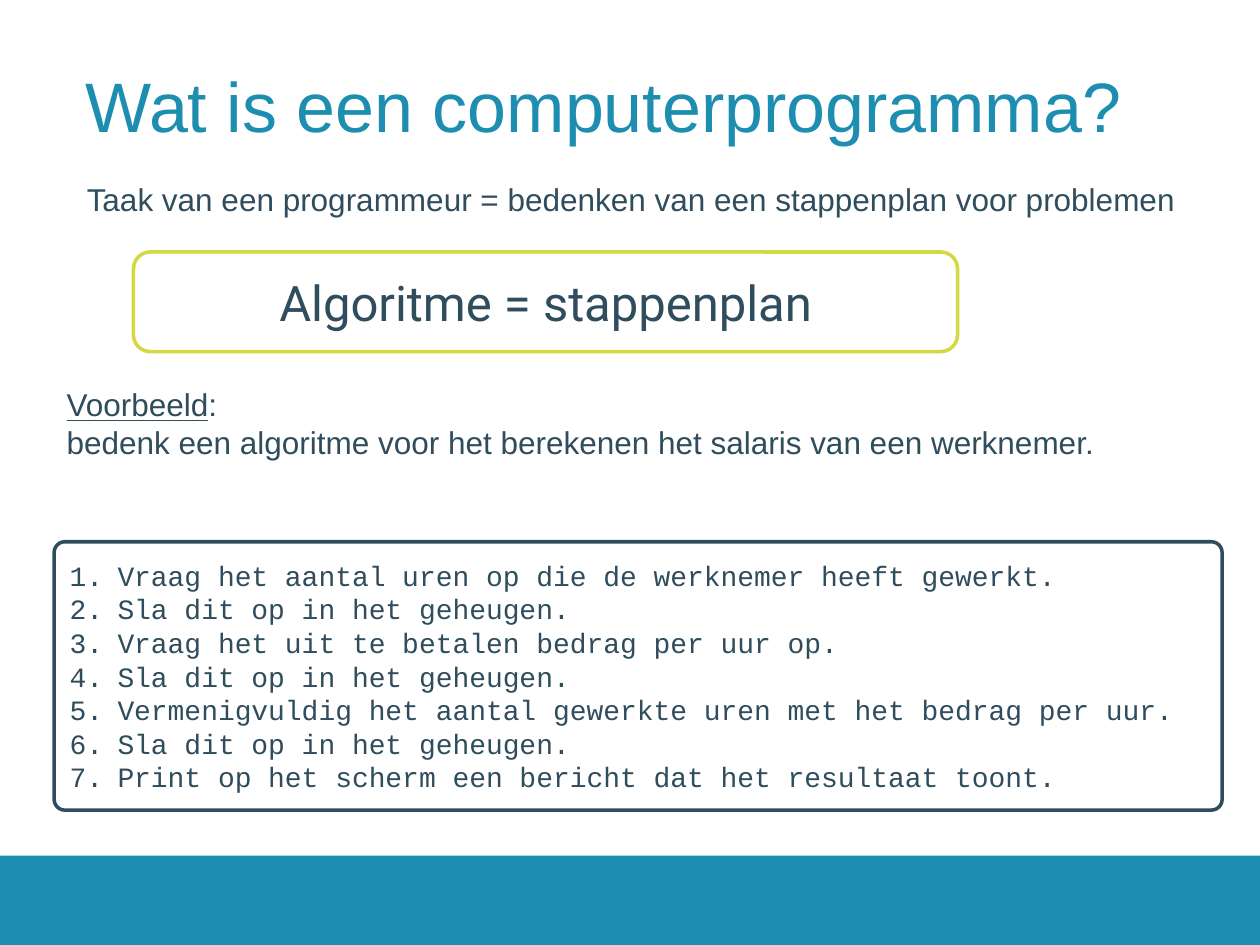
from pptx import Presentation
from pptx.dml.color import RGBColor
from pptx.enum.shapes import MSO_SHAPE
from pptx.enum.text import MSO_ANCHOR, MSO_AUTO_SIZE, PP_ALIGN
from pptx.util import Inches, Pt
from lxml import etree

RECT, ROUND = MSO_SHAPE.RECTANGLE, MSO_SHAPE.ROUNDED_RECTANGLE
MIDDLE = MSO_ANCHOR.MIDDLE
FIT = MSO_AUTO_SIZE.SHAPE_TO_FIT_TEXT
LEFT, CENTER = PP_ALIGN.LEFT, PP_ALIGN.CENTER
NS = "http://schemas.openxmlformats.org/drawingml/2006/main"

COLORS = {"teal": "1D8DB0", "ink": "2F4D5D", "lime": "D4D842", "white": "FFFFFF"}

STEPS = [
    "Vraag het aantal uren op die de werknemer heeft gewerkt.",
    "Sla dit op in het geheugen.",
    "Vraag het uit te betalen bedrag per uur op.",
    "Sla dit op in het geheugen.",
    "Vermenigvuldig het aantal gewerkte uren met het bedrag per uur.",
    "Sla dit op in het geheugen.",
    "Print op het scherm een bericht dat het resultaat toont.",
]


def color(name):
    return RGBColor.from_string(COLORS[name])


def write(frame, lines, size, font="Arial", tint="ink", align=LEFT):
    frame.text = "\n".join(lines)
    for para in frame.paragraphs:
        para.alignment = align
        for run in para.runs:
            run.font.size = Pt(size)
            run.font.name = font
            run.font.color.rgb = color(tint)


def add_text(slide, box, lines, size, tint="ink", wrap=True):
    frame = slide.shapes.add_textbox(*map(Inches, box)).text_frame
    frame.word_wrap = wrap
    write(frame, lines, size, tint=tint)
    return frame


def add_box(slide, kind, box, fill, line=None):
    shape = slide.shapes.add_shape(kind, *map(Inches, box))
    shape.shadow.inherit = False
    shape.fill.solid()
    shape.fill.fore_color.rgb = color(fill)
    if line:
        shape.line.color.rgb = color(line)
        shape.line.width = Pt(2)
    else:
        shape.line.fill.background()
    shape.text_frame.vertical_anchor = MIDDLE
    return shape


def number(para):
    """Give a paragraph an automatic number with a hanging indent."""
    props = para._p.get_or_add_pPr()
    indent = Inches(0.38)
    props.set("marL", str(indent))
    props.set("indent", str(-indent))
    etree.SubElement(props, f"{{{NS}}}buFont", typeface="+mj-lt")
    etree.SubElement(props, f"{{{NS}}}buAutoNum", type="arabicPeriod")


def add_title(slide):
    frame = add_text(slide, (0.63, 0.24, 8.74, 1.26),
                     ["Wat is een computerprogramma?"], 40, "teal")
    frame.vertical_anchor = MIDDLE
    frame.margin_left = frame.margin_right = Inches(0.05)
    frame.paragraphs[0].line_spacing = 0.9


def add_steps(slide):
    card = add_box(slide, ROUND, (0.43, 4.3, 9.27, 2.13), "white", "ink")
    card.adjustments[0] = 0.04
    write(card.text_frame, STEPS, 16, "Courier New")
    for para in card.text_frame.paragraphs:
        number(para)


def add_example(slide):
    frame = add_text(slide, (0.43, 3.01, 8.9, 0.71), [
        "Voorbeeld",
        "bedenk een algoritme voor het berekenen het salaris van een werknemer.",
    ], 18)
    frame.auto_size = FIT
    head = frame.paragraphs[0]
    head.runs[0].font.underline = True
    colon = head.add_run()
    colon.text = ":"
    colon.font.size = Pt(18)
    colon.font.name = "Arial"
    colon.font.color.rgb = color("ink")


def main():
    deck = Presentation()
    deck.slide_width, deck.slide_height = Inches(10), Inches(7.5)
    slide = deck.slides.add_slide(deck.slide_layouts[6])

    add_box(slide, RECT, (0, 6.79, 10, 0.71), "teal")
    add_title(slide)
    task = add_text(
        slide, (0.59, 1.38, 8.85, 0.4),
        ["Taak van een programmeur = bedenken van een stappenplan voor problemen"],
        18, wrap=False)
    task.auto_size = FIT
    add_example(slide)
    add_steps(slide)
    term = add_box(slide, ROUND, (1.06, 2, 6.54, 0.79), "white", "lime")
    write(term.text_frame, ["Algoritme = stappenplan"], 28, "Roboto", align=CENTER)

    deck.save("out.pptx")


if __name__ == "__main__":
    main()
